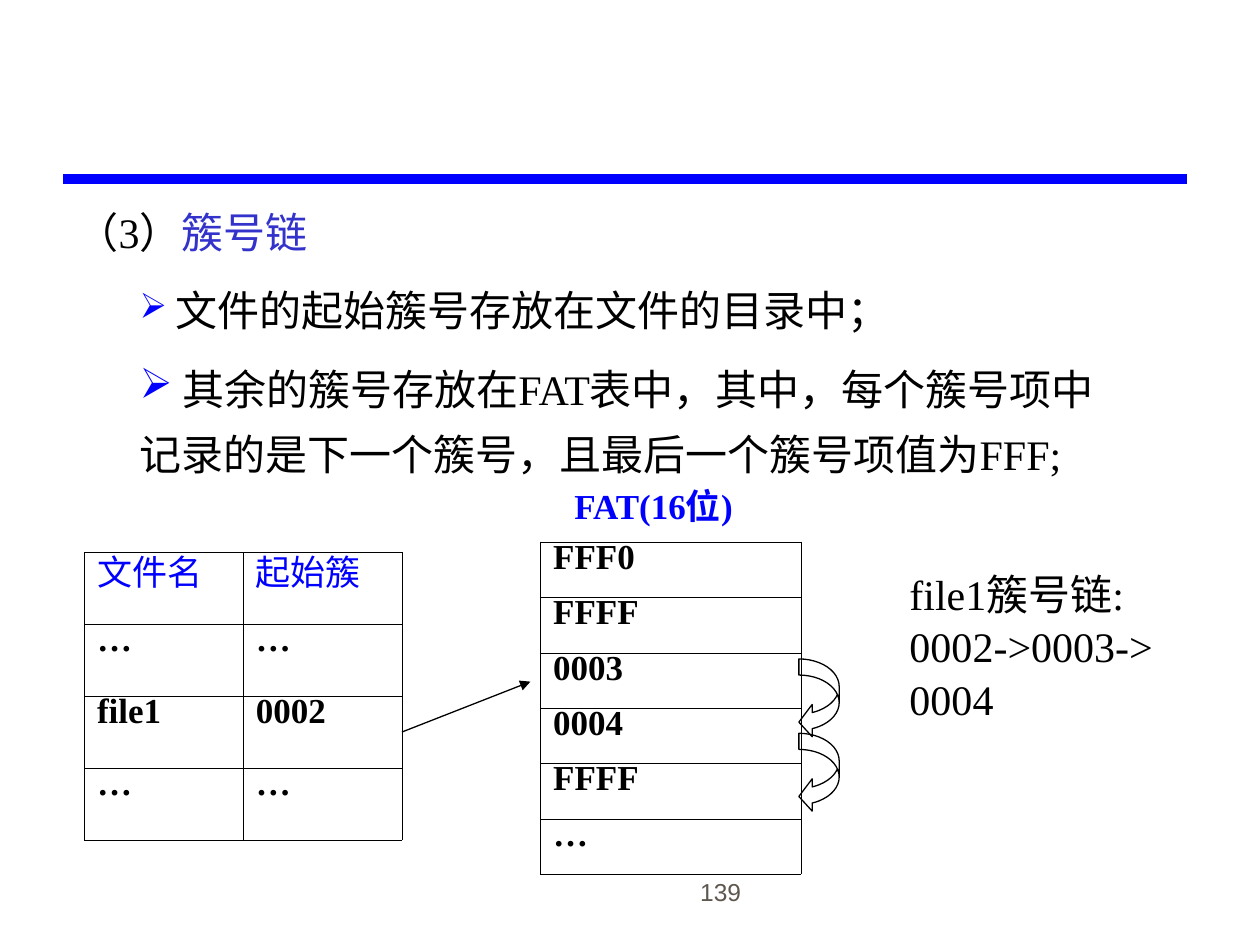
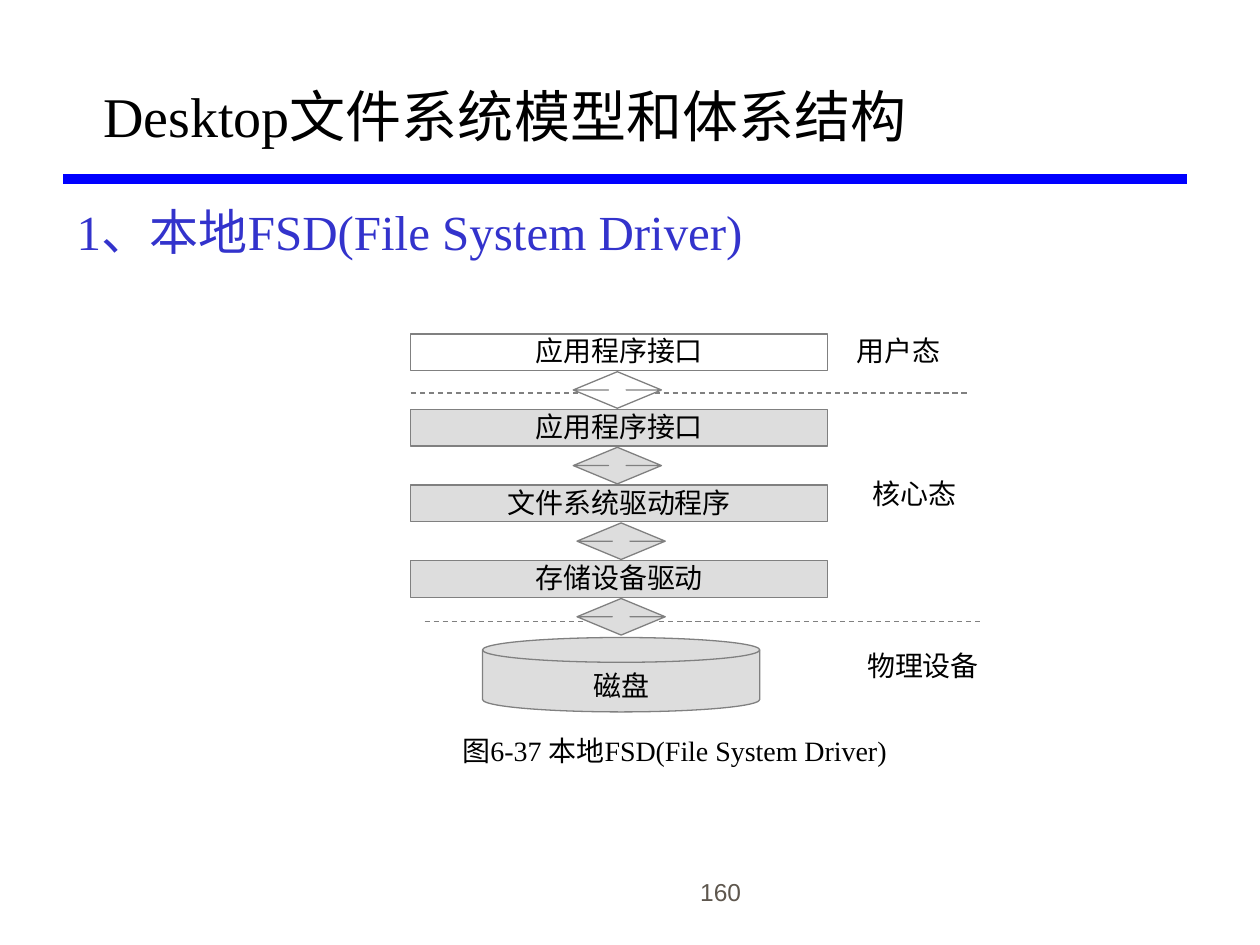
from dataclasses import dataclass
from typing import NamedTuple

from pptx import Presentation
from pptx.dml.color import RGBColor
from pptx.enum.dml import MSO_LINE
from pptx.enum.shapes import MSO_CONNECTOR, MSO_SHAPE
from pptx.enum.text import MSO_ANCHOR, MSO_AUTO_SIZE, PP_ALIGN
from pptx.oxml import parse_xml
from pptx.oxml.ns import nsdecls, qn
from pptx.util import Inches, Pt

LEFT, CENTER, RIGHT = PP_ALIGN.LEFT, PP_ALIGN.CENTER, PP_ALIGN.RIGHT
TOP, MIDDLE, BOTTOM = MSO_ANCHOR.TOP, MSO_ANCHOR.MIDDLE, MSO_ANCHOR.BOTTOM
RECTANGLE = MSO_SHAPE.RECTANGLE
DISK = MSO_SHAPE.FLOWCHART_MAGNETIC_DISK
CURVED_ARROW = MSO_SHAPE.CURVED_LEFT_ARROW
DOUBLE_ARROW = MSO_SHAPE.UP_DOWN_ARROW
STRAIGHT = MSO_CONNECTOR.STRAIGHT
DASH = MSO_LINE.DASH
FIT_TEXT = MSO_AUTO_SIZE.SHAPE_TO_FIT_TEXT

SERIF, SANS = "Times New Roman", "Arial"
BLACK, WHITE, BLUE, INDIGO = "000000", "FFFFFF", "0000FF", "3333CC"
GRAY, LIGHT_GRAY, FOOTER_GRAY = "808080", "DDDDDD", "5E574E"
THIN = 0.75


class Area(NamedTuple):
    left: float
    top: float
    width: float
    height: float

    def lengths(self):
        return [Inches(value) for value in self]


class Span(NamedTuple):
    text: str
    size: float
    color: str = BLACK
    bold: bool = False
    font: str = SERIF


@dataclass
class Para:
    spans: list
    align: object = LEFT
    before: float = 0.7
    line_spacing: float = 1.0
    margin: float = 0
    indent: float = 0
    bullet: str = ""


@dataclass
class Figure:
    kind: object
    area: Area
    label: str = ""
    fill: str = ""
    line: str = ""
    inset: tuple = (0, 0)
    anchor: object = TOP
    adjustments: tuple = ()


def rgb(color: str):
    return RGBColor.from_string(color)


def write(frame, paras: list):
    for index, item in enumerate(paras):
        para = frame.add_paragraph() if index else frame.paragraphs[0]
        para.alignment = item.align
        para.space_before, para.space_after = Pt(item.before), Pt(0.7)
        para.line_spacing = item.line_spacing
        properties = para._p.get_or_add_pPr()
        properties.set("marL", str(Inches(item.margin)))
        properties.set("indent", str(Inches(item.indent)))
        if item.bullet:
            properties.append(parse_xml(
                f'<a:buClr {nsdecls("a")}><a:srgbClr val="{BLUE}"/></a:buClr>'))
            properties.append(parse_xml(
                f'<a:buChar {nsdecls("a")} char="{item.bullet}"/>'))
        for part in item.spans:
            span = para.add_run()
            span.text = part.text
            span.font.name, span.font.size = part.font, Pt(part.size)
            span.font.bold = part.bold
            span.font.color.rgb = rgb(part.color)


def set_insets(frame, horizontal: float, vertical: float):
    frame.margin_left = frame.margin_right = Inches(horizontal)
    frame.margin_top = frame.margin_bottom = Inches(vertical)


def add_text(page, area: Area, paras: list, anchor=TOP, wrap: bool = True):
    frame = page.shapes.add_textbox(*area.lengths()).text_frame
    frame.word_wrap = wrap
    if not wrap:
        frame.auto_size = FIT_TEXT
    frame.vertical_anchor = anchor
    set_insets(frame, 0.1, 0.05)
    write(frame, paras)


def add_line(page, start: tuple, end: tuple, color: str, width: float = THIN,
             dashed: bool = False, arrow: bool = False):
    connector = page.shapes.add_connector(
        STRAIGHT, *[Inches(value) for value in start + end])
    connector.line.color.rgb = rgb(color)
    connector.line.width = Pt(width)
    if dashed:
        connector.line.dash_style = DASH
    if arrow:
        connector.line._get_or_add_ln().append(
            parse_xml(f'<a:tailEnd {nsdecls("a")} type="triangle"/>'))
    connector._element.spPr.append(parse_xml(f'<a:effectLst {nsdecls("a")}/>'))


def add_figure(page, figure: Figure):
    shape = page.shapes.add_shape(figure.kind, *figure.area.lengths())
    shape.shadow.inherit = False
    for index, value in enumerate(figure.adjustments):
        shape.adjustments[index] = value
    if figure.fill:
        shape.fill.solid()
        shape.fill.fore_color.rgb = rgb(figure.fill)
    else:
        shape.fill.background()
    if figure.line:
        shape.line.color.rgb = rgb(figure.line)
        shape.line.width = Pt(THIN)
    else:
        shape.line.fill.background()
    if figure.label:
        frame = shape.text_frame
        frame.word_wrap = True
        frame.vertical_anchor = figure.anchor
        set_insets(frame, *figure.inset)
        write(frame, [Para([Span(figure.label, 16)], CENTER)])


def set_borders(cell):
    properties = cell._tc.get_or_add_tcPr()
    for side in ("lnL", "lnR", "lnT", "lnB"):
        properties.append(parse_xml(
            f'<a:{side} {nsdecls("a")} w="{Pt(0.06)}"><a:solidFill>'
            f'<a:srgbClr val="{BLACK}"/></a:solidFill></a:{side}>'))


def add_grid(page, area: Area, rows: list, has_header: bool = False):
    """Draw a table of equal cells; a header row is blue and not bold."""
    table = page.shapes.add_table(
        len(rows), len(rows[0]), *area.lengths()).table
    table.first_row = table.horz_banding = False
    for row_index, texts in enumerate(rows):
        table.rows[row_index].height = Inches(area.height / len(rows))
        header = has_header and row_index == 0
        for column_index, text in enumerate(texts):
            cell = table.cell(row_index, column_index)
            set_insets(cell, 0.1, 0.05)
            set_borders(cell)
            cell.fill.background()
            span = Span(text, 20, BLUE if header else BLACK, not header)
            write(cell.text_frame, [Para([span], before=5.7, line_spacing=0.68)])


def add_page(deck, number: str):
    page = deck.slides.add_slide(deck.slide_layouts[6])
    add_line(page, (0.5, 1.42), (9.42, 1.42), BLUE, 6)
    add_text(page, Area(3.9, 6.74, 2.08, 0.5),
             [Para([Span(number, 14, FOOTER_GRAY, font=SANS)], RIGHT, 9.4)],
             BOTTOM)
    return page


def build_cluster_chain(deck):
    page = add_page(deck, "139")
    body = {"before": 6.7, "line_spacing": 1.3}
    item = {**body, "margin": 0.5, "bullet": "➢"}
    add_text(page, Area(0.51, 1.47, 8.5, 2.52), [
        Para([Span("（3）", 24), Span("簇号链", 24, INDIGO)], **body),
        Para([Span(" ", 20), Span("文件的起始簇号存放在文件的目录中；", 24)], **item),
        Para([Span(" 其余的簇号存放在FAT表中，其中，每个簇号项中"
                   "记录的是下一个簇号，且最后一个簇号项值为FFF;", 24)], **item),
    ])
    add_grid(page, Area(0.67, 4.38, 2.52, 2.29),
             [("文件名", "起始簇"), ("…", "…"), ("file1", "0002"), ("…", "…")],
             has_header=True)
    entries = ("FFF0", "FFFF", "0003", "0004", "FFFF", "…")
    add_grid(page, Area(4.29, 4.3, 2.07, 2.64), [(entry,) for entry in entries])
    add_text(page, Area(4.46, 3.8, 1.63, 0.44),
             [Para([Span("FAT(16位)", 20, BLUE, True)])], wrap=False)
    add_line(page, (3.19, 5.81), (4.21, 5.41), BLACK, arrow=True)
    for top in (5.23, 5.82):
        add_figure(page, Figure(CURVED_ARROW, Area(6.34, top, 0.32, 0.63),
                                line=BLACK, adjustments=(0.4, 0.8, 0.33)))
    chain = ("file1簇号链:", "0002->0003->", "0004")
    add_text(page, Area(7.12, 4.46, 2.13, 1.33),
             [Para([Span(text, 24)]) for text in chain], wrap=False)


def build_local_driver(deck):
    page = add_page(deck, "160")
    add_text(page, Area(0.51, 1.55, 8.94, 5.43), [
        Para([Span("1、本地FSD(File System Driver)", 28, INDIGO)],
             before=6.7, margin=0.38, indent=-0.38)])
    add_line(page, (3.26, 3.12), (7.68, 3.12), GRAY, dashed=True)
    add_line(page, (3.37, 4.93), (7.78, 4.93), GRAY, dashed=True)

    captions = [
        (Area(6.58, 2.65, 1.1, 0.36), "用户态"),
        (Area(6.71, 3.78, 1.1, 0.36), "核心态"),
        (Area(6.43, 5.15, 1.79, 0.36), "物理设备"),
        (Area(3.03, 5.82, 4.65, 0.36), "图6-37 本地FSD(File System Driver)"),
    ]
    for area, label in captions:
        add_figure(page, Figure(RECTANGLE, area, label, WHITE))

    layers = ("应用程序接口", "应用程序接口", "文件系统驱动程序", "存储设备驱动")
    for index, label in enumerate(layers):
        top = 2.65 + 0.6 * index
        fill = LIGHT_GRAY if index else WHITE
        arrow_left = 4.55 if index < 2 else 4.58
        add_figure(page, Figure(RECTANGLE, Area(3.26, top, 3.31, 0.29),
                                label, fill, GRAY))
        add_figure(page, Figure(DOUBLE_ARROW,
                                Area(arrow_left, top + 0.3, 0.7, 0.29),
                                fill=fill, line=GRAY, adjustments=(0.5, 0.2)))
    add_figure(page, Figure(DISK, Area(3.83, 5.06, 2.2, 0.59), "磁盘",
                            LIGHT_GRAY, GRAY, (0.1, 0.05)))
    add_text(page, Area(0.72, 0.16, 9.74, 1.07),
             [Para([Span("Desktop文件系统模型和体系结构", 32)])], BOTTOM)


def main():
    deck = Presentation()
    deck.slide_width, deck.slide_height = Inches(10), Inches(7.5)
    build_cluster_chain(deck)
    build_local_driver(deck)
    deck.save("out.pptx")


if __name__ == "__main__":
    main()
